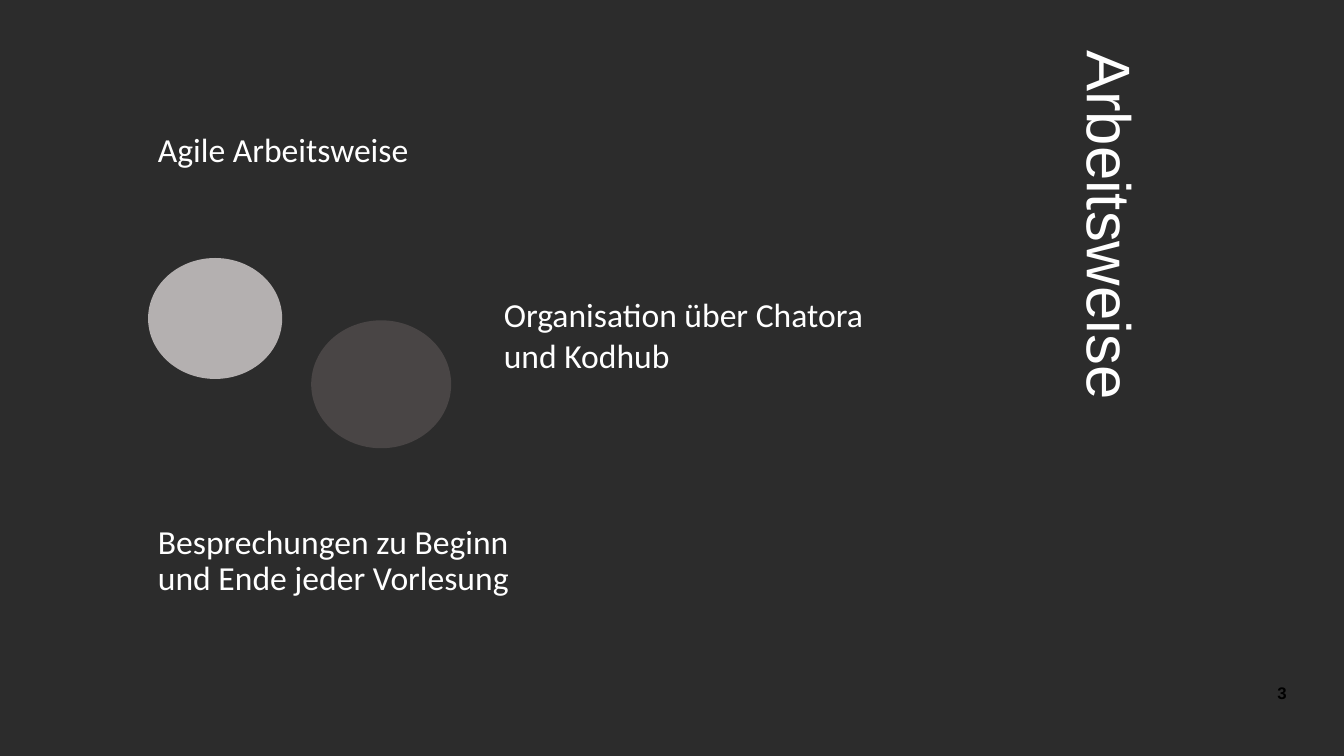
"""Build the dark slide on the team's way of working."""
from dataclasses import dataclass

import pptx
import pptx.dml.color
import pptx.enum.shapes
import pptx.enum.text
import pptx.util

Pt = pptx.util.Pt
Anchor = pptx.enum.text.MSO_ANCHOR
Align = pptx.enum.text.PP_ALIGN
color = pptx.dml.color.RGBColor.from_string


@dataclass(frozen=True)
class Theme:
    background: str = "2C2C2C"
    text: str = "FFFFFF"
    number: str = "000000"
    light_circle: str = "B4B0B0"
    dark_circle: str = "494545"
    heading_font: str = "Arial"
    body_font: str = "Calibri"
    title_size: int = 44
    body_size: int = 24
    number_size: int = 12


theme = Theme()


def add_text(page, text, place, size, font, ink=theme.text, anchor=Anchor.MIDDLE,
             align=Align.LEFT, spacing=1.0, inset=3.6, bold=False):
    box = page.shapes.add_textbox(*map(Pt, place))
    frame = box.text_frame
    frame.word_wrap = True
    frame.vertical_anchor = anchor
    frame.margin_left = frame.margin_right = Pt(7.2)
    frame.margin_top = frame.margin_bottom = Pt(inset)
    para = frame.paragraphs[0]
    para.alignment = align
    para.line_spacing = spacing
    span = para.add_run()
    span.text = text
    span.font.name = font
    span.font.size = Pt(size)
    span.font.bold = bold
    span.font.color.rgb = color(ink)
    return box


deck = pptx.Presentation()
deck.slide_width, deck.slide_height = Pt(960), Pt(540)
page = deck.slides.add_slide(deck.slide_layouts[6])
page.background.fill.solid()
page.background.fill.fore_color.rgb = color(theme.background)

title = add_text(page, "Arbeitsweise", (561.6, 154, 458, 207.4),
                 theme.title_size, theme.heading_font, spacing=0.9)
title.rotation = 90

add_text(page, "3", (895.7, 480.2, 40.3, 28.8), theme.number_size, theme.heading_font,
         ink=theme.number, align=Align.CENTER, bold=True)

statements = [
    ("Besprechungen zu Beginn und Ende jeder Vorlesung",
     (105.8, 350.6, 306.7, 101.5), Anchor.MIDDLE, 0.9, 3.6),
    ("Agile Arbeitsweise", (105.8, 84.2, 247, 43.9), Anchor.MIDDLE, 1.0, 7.2),
    ("Organisation über Chatora und Kodhub",
     (352.8, 203, 276.5, 72.7), Anchor.TOP, 1.0, 7.2),
]
for text, place, anchor, spacing, inset in statements:
    add_text(page, text, place, theme.body_size, theme.body_font,
             anchor=anchor, spacing=spacing, inset=inset)

circles = [
    ((105.8, 184.3, 95.8, 86.4), theme.light_circle),
    ((222.3, 228.8, 100, 91.4), theme.dark_circle),
]
for place, fill in circles:
    circle = page.shapes.add_shape(pptx.enum.shapes.MSO_SHAPE.OVAL, *map(Pt, place))
    circle.shadow.inherit = False
    circle.fill.solid()
    circle.fill.fore_color.rgb = color(fill)
    circle.line.fill.background()

deck.save("out.pptx")
